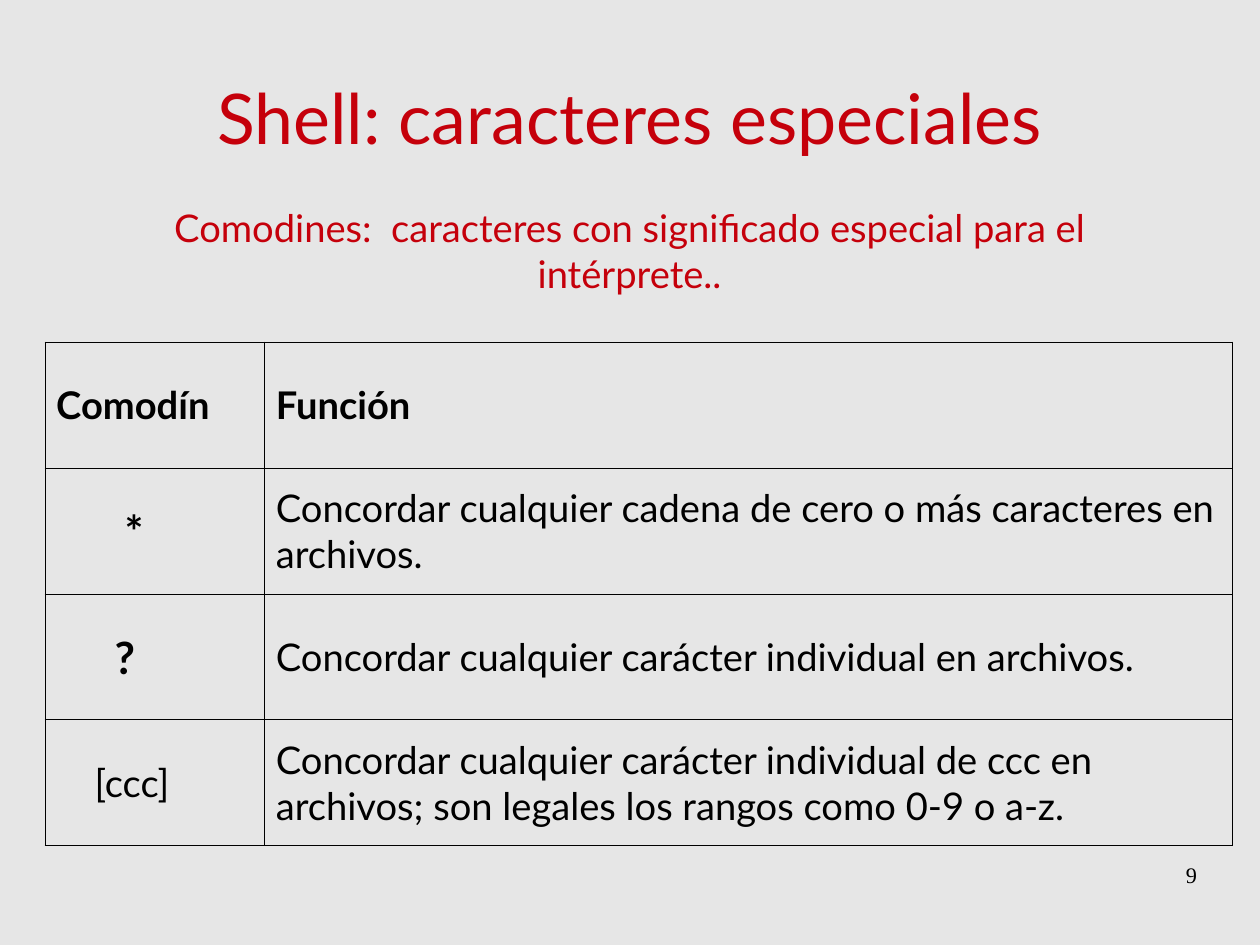
"""Build a slide with a table of shell wildcards."""
import dataclasses

import pptx
import pptx.dml.color
import pptx.enum.text
import pptx.oxml
import pptx.oxml.ns
import pptx.util

Cm = pptx.util.Cm
Pt = pptx.util.Pt
Color = pptx.dml.color.RGBColor
Align = pptx.enum.text.PP_ALIGN
Anchor = pptx.enum.text.MSO_ANCHOR


@dataclasses.dataclass(frozen=True)
class Theme:
    font: str = "Lato"
    serif: str = "Times New Roman"
    back: str = "E6E6E6"
    red: str = "C5000B"
    ink: str = "000000"
    title: int = 44
    mark: int = 28
    body: int = 24
    small: int = 14
    rule: float = 0.57
    pad: tuple = (0.25, 0.13)


class Page:
    def __init__(self, deck, theme):
        self.theme = theme
        self.slide = deck.slides.add_slide(deck.slide_layouts[5])
        fill = self.slide.background.fill
        fill.solid()
        fill.fore_color.rgb = Color.from_string(theme.back)

    def label(self, frame, text, size, color, align, font=None, bold=False):
        frame.word_wrap = True
        para = frame.paragraphs[0]
        para.alignment = align
        run = para.add_run()
        run.text = text
        run.font.name = font or self.theme.font
        run.font.size = Pt(size)
        run.font.bold = bold
        run.font.color.rgb = Color.from_string(color)

    def inset(self, item, side, edge):
        item.margin_left = item.margin_right = Cm(side)
        item.margin_top = item.margin_bottom = Cm(edge)

    def title(self, text, box):
        shape = self.slide.shapes.title
        shape.left, shape.top, shape.width, shape.height = map(Cm, box)
        frame = shape.text_frame
        self.inset(frame, 0, 0)
        frame.vertical_anchor = Anchor.MIDDLE
        self.label(frame, text, self.theme.title, self.theme.red, Align.CENTER)

    def text(self, text, box, size, color, align, font=None, pad=(0, 0)):
        frame = self.slide.shapes.add_textbox(*map(Cm, box)).text_frame
        self.inset(frame, *pad)
        self.label(frame, text, size, color, align, font)

    def border(self, cell):
        props = cell._tc.get_or_add_tcPr()
        space = pptx.oxml.ns.nsdecls("a")
        for side in "LRTB":
            props.append(pptx.oxml.parse_xml(
                f'<a:ln{side} {space} w="{Pt(self.theme.rule)}"><a:solidFill>'
                f'<a:srgbClr val="{self.theme.ink}"/></a:solidFill></a:ln{side}>'))

    def cell(self, cell, text, size, bold, indent):
        self.border(cell)
        cell.fill.background()
        cell.vertical_anchor = Anchor.MIDDLE
        self.inset(cell, *self.theme.pad)
        cell.margin_left = Cm(self.theme.pad[0] + indent)
        self.label(cell.text_frame, text, size, self.theme.ink, Align.LEFT, bold=bold)

    def table(self, rows, left, top, widths, height):
        frame = self.slide.shapes.add_table(
            len(rows), len(widths), Cm(left), Cm(top),
            Cm(sum(widths)), Cm(height * len(rows)))
        table = frame.table
        table.first_row = table.horz_banding = False
        for column, width in zip(table.columns, widths):
            column.width = Cm(width)
        for line, row in zip(table.rows, rows):
            line.height = Cm(height)
            for cell, item in zip(line.cells, row):
                self.cell(cell, *item)


def main():
    deck = pptx.Presentation()
    deck.slide_width, deck.slide_height = Cm(28), Cm(21)
    theme = Theme()
    page = Page(deck, theme)
    body, mark = theme.body, theme.mark
    page.title("Shell: caracteres especiales", (1.4, 0.84, 25.2, 3.5))
    page.text("Comodines:  caracteres con significado especial para el intérprete..",
              (2.74, 4.42, 22.5, 2.11), body, theme.red, Align.CENTER, pad=theme.pad)
    rows = [
        (("Comodín", body, True, 0), ("Función", body, True, 0)),
        (("*", mark, True, 1.52),
         ("Concordar cualquier cadena de cero o más caracteres en archivos.",
          body, False, 0)),
        (("?", mark, True, 1.3),
         ("Concordar cualquier carácter individual en archivos.", body, False, 0)),
        (("[ccc]", body, False, 0.85),
         ("Concordar cualquier carácter individual de ccc en archivos; "
          "son legales los rangos como 0-9 o a-z.", body, False, 0)),
    ]
    page.table(rows, 1, 7.6, (4.88, 21.51), 2.8)
    page.text("9", (20.07, 19.13, 6.53, 1.45), theme.small, theme.ink,
              Align.RIGHT, theme.serif)
    deck.save("out.pptx")


if __name__ == "__main__":
    main()
